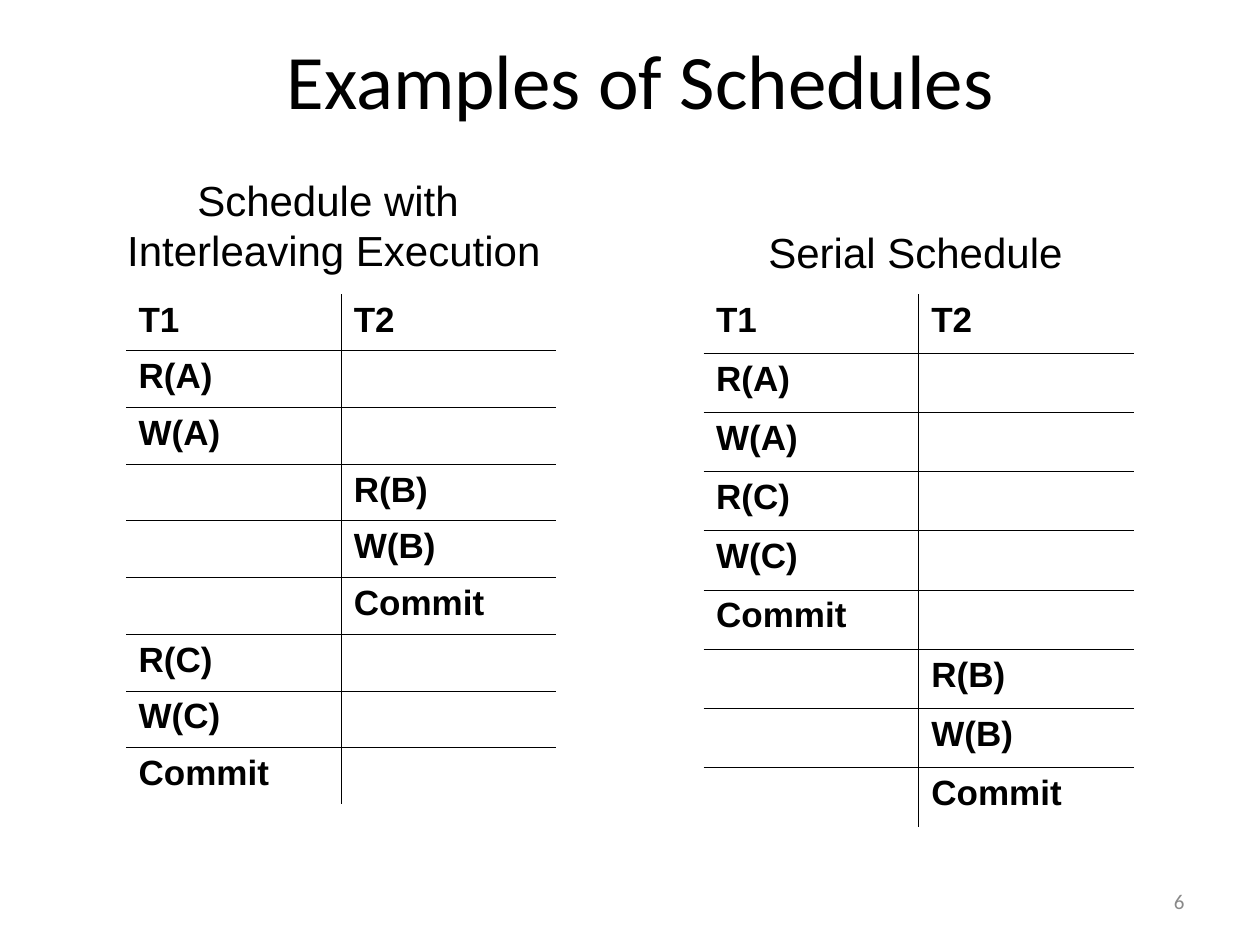
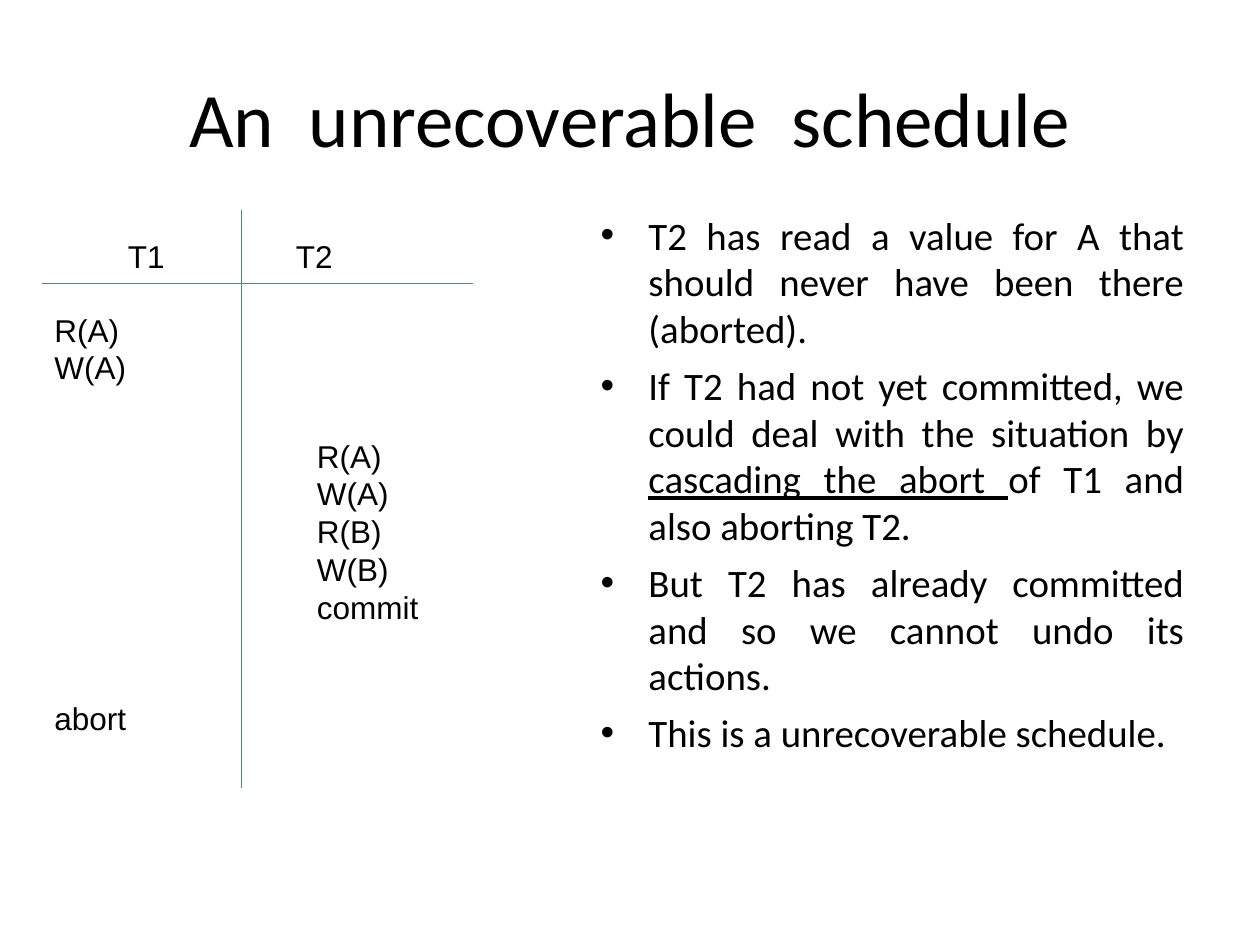
from pptx import Presentation
from pptx.dml.color import RGBColor
from pptx.enum.shapes import MSO_CONNECTOR
from pptx.enum.text import MSO_ANCHOR, MSO_AUTO_SIZE, PP_ALIGN
from pptx.oxml.ns import qn
from pptx.util import Inches, Pt
from lxml.etree import SubElement

COLORS = {"text": "000000", "number": "898989", "axis": "4A7EBB"}
NO_STYLE = "{2D5ABB26-0587-4C30-8999-92F81FD0307C}"

prs = Presentation()
prs.slide_width, prs.slide_height = Inches(10), Inches(7.5)
U = prs.slide_width // 120  # square grid: 120 columns by 90 rows


def set_font(p, size, name="Arial", color="text", bold=False):
    p.font.size, p.font.name, p.font.bold = Pt(size), name, bold
    p.font.color.rgb = RGBColor.from_string(COLORS[color])


def add_text(s, box, lines, size, align=PP_ALIGN.LEFT, wrap=True, **font):
    sp = s.shapes.add_textbox(*[int(v * U) for v in box])
    tf = sp.text_frame
    tf.word_wrap = wrap
    tf.text = "\n".join(lines)
    for p in tf.paragraphs:
        p.alignment = align
        set_font(p, size, **font)
    return tf


# Slides and their titles
slides = []
for layout, title, left, top in [
    (5, "Examples of Schedules", 7, 0),
    (1, "An  unrecoverable  schedule", 6, 3.6),
]:
    s = prs.slides.add_slide(prs.slide_layouts[layout])
    sp = s.shapes.title
    sp.left, sp.top, sp.width, sp.height = [int(v * U) for v in (left, top, 108, 15)]
    tf = sp.text_frame
    tf.text = title
    tf.vertical_anchor = MSO_ANCHOR.MIDDLE
    p = tf.paragraphs[0]
    p.alignment = PP_ALIGN.CENTER
    set_font(p, 44, "Calibri")
    slides.append(s)
examples, unrecoverable = slides

# Schedule tables: (transaction, operation) in order of time
t1_ops, t2_ops = ["R(A)", "W(A)"], ["R(B)", "W(B)", "Commit"]
t1_end = ["R(C)", "W(C)", "Commit"]
interleaved = [(0, op) for op in t1_ops] + [(1, op) for op in t2_ops] + [(0, op) for op in t1_end]
serial = [(0, op) for op in t1_ops + t1_end] + [(1, op) for op in t2_ops]

for left, row_height, steps in [(12, 0.45, interleaved), (67, 0.47, serial)]:
    n_rows = len(steps) + 1
    table = examples.shapes.add_table(
        n_rows, 2, left * U, 28 * U, 41 * U, Inches(row_height * n_rows)).table
    table._tbl.tblPr.find(qn("a:tableStyleId")).text = NO_STYLE
    table.first_row = table.horz_banding = False
    for col, name in enumerate(["T1", "T2"]):
        table.cell(0, col).text = name
    for row, (col, op) in enumerate(steps, 1):
        table.cell(row, col).text = op
    for row in range(n_rows):
        for col in range(2):
            cell = table.cell(row, col)
            p = cell.text_frame.paragraphs[0]
            p.space_before = Pt(5)
            set_font(p, 20, bold=True)
            # Inner rules only
            sides = {"lnL": col > 0, "lnR": col < 1, "lnT": row > 0, "lnB": row < n_rows - 1}
            for side, shown in sides.items():
                if shown:
                    ln = SubElement(cell._tc.get_or_add_tcPr(), qn("a:" + side), w=str(Pt(0.45)))
                    fill = SubElement(ln, qn("a:solidFill"))
                    SubElement(fill, qn("a:srgbClr"), val=COLORS["text"])
            cell.fill.background()

# Table captions and slide number
add_text(examples, (72, 21, 30.4, 6), ["Serial Schedule"], 24, wrap=False)
add_text(examples, (10.9, 16, 41.8, 10.8), ["Schedule with ", "Interleaving Execution"], 24,
         PP_ALIGN.CENTER, wrap=False)
tf = add_text(examples, (86, 83.4, 28, 4.8), ["6"], 12, PP_ALIGN.RIGHT,
              name="Calibri", color="number")
tf.vertical_anchor = MSO_ANCHOR.MIDDLE

# Explanation list, with underlined runs marked True
points = [
    [("T2 has read a value for A that should never have been there (aborted).", False)],
    [("If T2 had not yet committed, we could deal with the situation by ", False),
     ("cascading the abort ", True),
     ("of T1 and also aborting T2.", False)],
    [("But T2 has already committed and so we cannot undo its actions.", False)],
    [("This is a unrecoverable schedule.", False)],
]
sp = unrecoverable.placeholders[1]
sp.left, sp.top, sp.width, sp.height = 56 * U, 14 * U, 58 * U, 71 * U
tf = sp.text_frame
tf.auto_size = MSO_AUTO_SIZE.NONE
tf.margin_top = Inches(0.51)
for i, runs in enumerate(points):
    p = tf.add_paragraph() if i else tf.paragraphs[0]
    p.alignment = PP_ALIGN.JUSTIFY
    p.space_before = Pt(6 if i else 0)
    set_font(p, 22.2, "Calibri")
    pPr = p._p.get_or_add_pPr()
    pPr.set("marL", str(Inches(0.38)))
    pPr.set("indent", str(Inches(-0.38)))
    for text, underlined in runs:
        r = p.add_run()
        r.text = text
        if underlined:
            r.font.underline = True

# Schedule drawn on two axes
for ends in [(23, 20, 23, 75), (4, 27, 45, 27)]:
    line = unrecoverable.shapes.add_connector(MSO_CONNECTOR.STRAIGHT, *[v * U for v in ends])
    line.line.color.rgb = RGBColor.from_string(COLORS["axis"])
    line.line.width = Pt(0.75)
    SubElement(line._element.spPr, qn("a:effectLst"))

for left, name in [(11, "T1"), (27, "T2")]:
    add_text(unrecoverable, (left, 22, 5.9, 4.8), [name], 18, wrap=False)
for left, top, ops in [
    (4, 29, ["R(A)", "W(A)"]),
    (29, 41, ["R(A)", "W(A)", "R(B)", "W(B)", "commit"]),
    (4, 66, ["abort"]),
]:
    add_text(unrecoverable, (left, top, 14, 1.2 + 3.6 * len(ops)), ops, 18)

prs.save("out.pptx")
